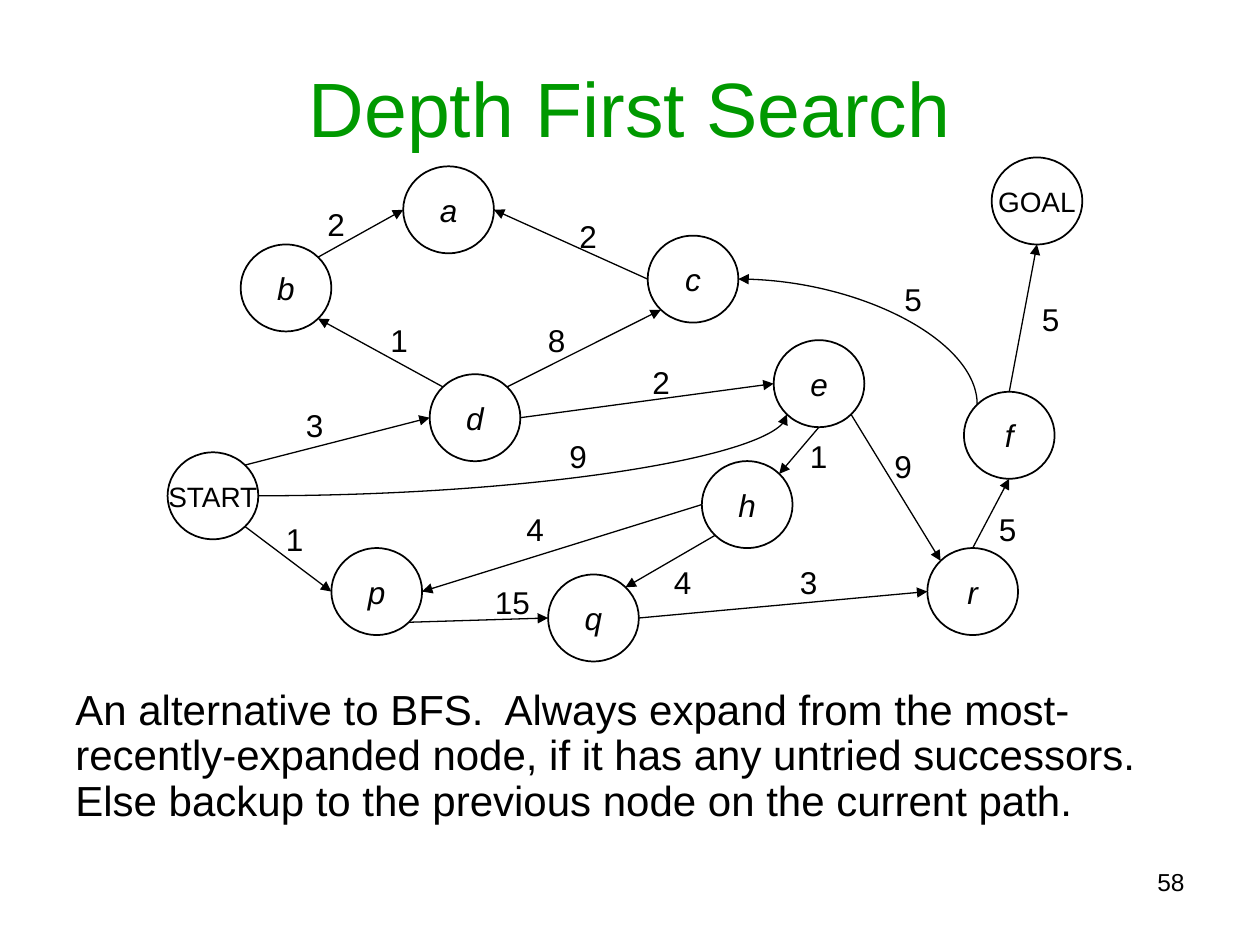
"""Build the Depth First Search slide with its weighted search graph."""
from dataclasses import dataclass

from lxml import etree
from pptx import Presentation
from pptx.dml.color import RGBColor
from pptx.enum import shapes, text
from pptx.oxml import ns
from pptx.util import Inches, Pt


@dataclass(frozen=True)
class Theme:
    font: str = "Arial"
    green: RGBColor = RGBColor(0x00, 0x99, 0x00)
    black: RGBColor = RGBColor(0, 0, 0)
    title: int = 44
    body: int = 24
    label: int = 18
    terminal: int = 16
    number: int = 14
    outline: float = 1
    edge: float = 0.75


theme = Theme()


def write(holder, words, size, color=theme.black, align=text.PP_ALIGN.LEFT,
          anchor=text.MSO_ANCHOR.TOP, wrap=True, italic=False):
    frame = holder.text_frame
    frame.text = words
    frame.word_wrap = wrap
    frame.vertical_anchor = anchor
    frame.margin_left = frame.margin_right = Inches(0.1)
    frame.margin_top = frame.margin_bottom = Inches(0.05)
    paragraph = frame.paragraphs[0]
    paragraph.alignment = align
    font = paragraph.runs[0].font
    font.name, font.size, font.italic = theme.font, Pt(size), italic
    font.color.rgb = color
    return paragraph


NODE_W, NODE_H = 0.72, 0.69
DIAGONAL = 0.707
SIDES = {
    "N": (0, -1), "S": (0, 1), "W": (-1, 0), "E": (1, 0),
    "NW": (-DIAGONAL, -DIAGONAL), "NE": (DIAGONAL, -DIAGONAL),
    "SW": (-DIAGONAL, DIAGONAL), "SE": (DIAGONAL, DIAGONAL),
}
nodes = {
    "START": (1.33, 3.59), "GOAL": (7.87, 1.25), "d": (3.41, 2.97),
    "b": (1.91, 1.94), "p": (2.63, 4.35), "q": (4.35, 4.56),
    "c": (5.14, 1.87), "e": (6.14, 2.7), "h": (5.57, 3.66),
    "a": (3.2, 1.32), "f": (7.65, 3.11), "r": (7.36, 4.35),
}
edges = [
    ("START", "SE", "p", "W", "1", 2.17, 4.08),
    ("p", "SE", "q", "W", "15", 3.83, 4.58),
    ("h", "SW", "q", "NE", "4", 5.25, 4.42),
    ("h", "W", "p", "E", "4", 4.08, 4),
    ("e", "S", "h", "NE", "1", 6.33, 3.42),
    ("e", "SE", "r", "NW", "9", 7, 3.5),
    ("r", "N", "f", "S", "5", 7.83, 4),
    ("f", "N", "GOAL", "S", "5", 8.17, 2.33),
    ("START", "NE", "d", "W", "3", 2.33, 3.17),
    ("d", "NW", "b", "SE", "1", 3, 2.5),
    ("b", "NE", "a", "W", "2", 2.5, 1.58),
    ("c", "W", "a", "E", "2", 4.5, 1.67),
    ("d", "NE", "c", "SW", "8", 4.25, 2.5),
    ("d", "E", "e", "W", "2", 5.08, 2.83),
    ("q", "E", "r", "W", "3", 6.25, 4.42),
    ("c", "E", "f", "NW", "5", 7.08, 2.17),
    ("START", "E", "e", "SW", "9", 4.42, 3.42),
]
curved = {("c", "f"), ("START", "e")}
reversed_arrows = {("c", "f")}


def site(node, side):
    left, top = nodes[node]
    across, down = SIDES[side]
    return (Inches(left + NODE_W / 2 * (1 + across)),
            Inches(top + NODE_H / 2 * (1 + down)))


prs = Presentation()
prs.slide_width, prs.slide_height = Inches(10), Inches(7.5)
slide = prs.slides.add_slide(prs.slide_layouts[5])

title = slide.shapes.title
title.left, title.top = Inches(0.5), Inches(0.33)
title.width, title.height = Inches(9), Inches(1.03)
write(title, "Depth First Search", theme.title, theme.green,
      text.PP_ALIGN.CENTER, text.MSO_ANCHOR.MIDDLE)

explanation = slide.shapes.add_textbox(Inches(0.5), Inches(5.42), Inches(9), Inches(1.28))
write(explanation,
      "An alternative to BFS.  Always expand from the most-recently-expanded node, "
      "if it has any untried successors.  Else backup to the previous node on the "
      "current path.", theme.body).line_spacing = 0.9

graph = slide.shapes.add_group_shape()
for name, (left, top) in nodes.items():
    node = graph.shapes.add_shape(shapes.MSO_SHAPE.FLOWCHART_CONNECTOR, Inches(left),
                                  Inches(top), Inches(NODE_W), Inches(NODE_H))
    node.shadow.inherit = False
    node.fill.background()
    node.line.color.rgb = theme.black
    node.line.width = Pt(theme.outline)
    terminal = name in ("START", "GOAL")
    write(node, name, theme.terminal if terminal else theme.label,
          align=text.PP_ALIGN.CENTER, anchor=text.MSO_ANCHOR.MIDDLE,
          wrap=False, italic=not terminal)

for start, start_side, end, end_side, weight, left, top in edges:
    bends = (start, end) in curved
    style = shapes.MSO_CONNECTOR.CURVE if bends else shapes.MSO_CONNECTOR.STRAIGHT
    edge = graph.shapes.add_connector(style, *site(start, start_side), *site(end, end_side))
    edge.line.color.rgb = theme.black
    edge.line.width = Pt(theme.edge)
    properties = edge._element.spPr
    if bends:
        properties.find(ns.qn("a:prstGeom")).set("prst", "curvedConnector2")
    arrow = "a:headEnd" if (start, end) in reversed_arrows else "a:tailEnd"
    etree.SubElement(properties.find(ns.qn("a:ln")), ns.qn(arrow), type="triangle")
    etree.SubElement(properties, ns.qn("a:effectLst"))
    cost = slide.shapes.add_textbox(Inches(left), Inches(top),
                                    Inches(0.33 if len(weight) == 1 else 0.5), Inches(0.4))
    write(cost, weight, theme.label)

page_number = slide.shapes.add_textbox(Inches(4.83), Inches(6.83), Inches(4.67), Inches(0.52))
write(page_number, "58", theme.number, align=text.PP_ALIGN.RIGHT)

prs.save("out.pptx")
